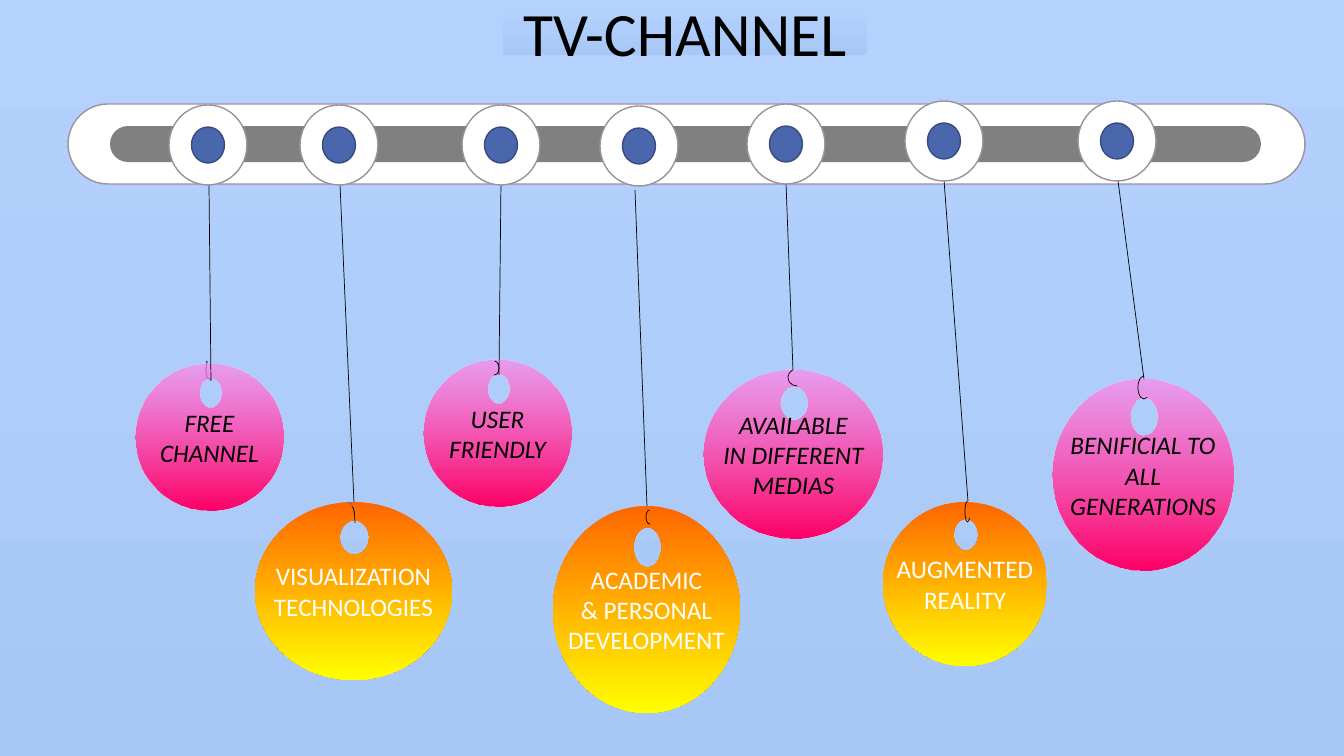
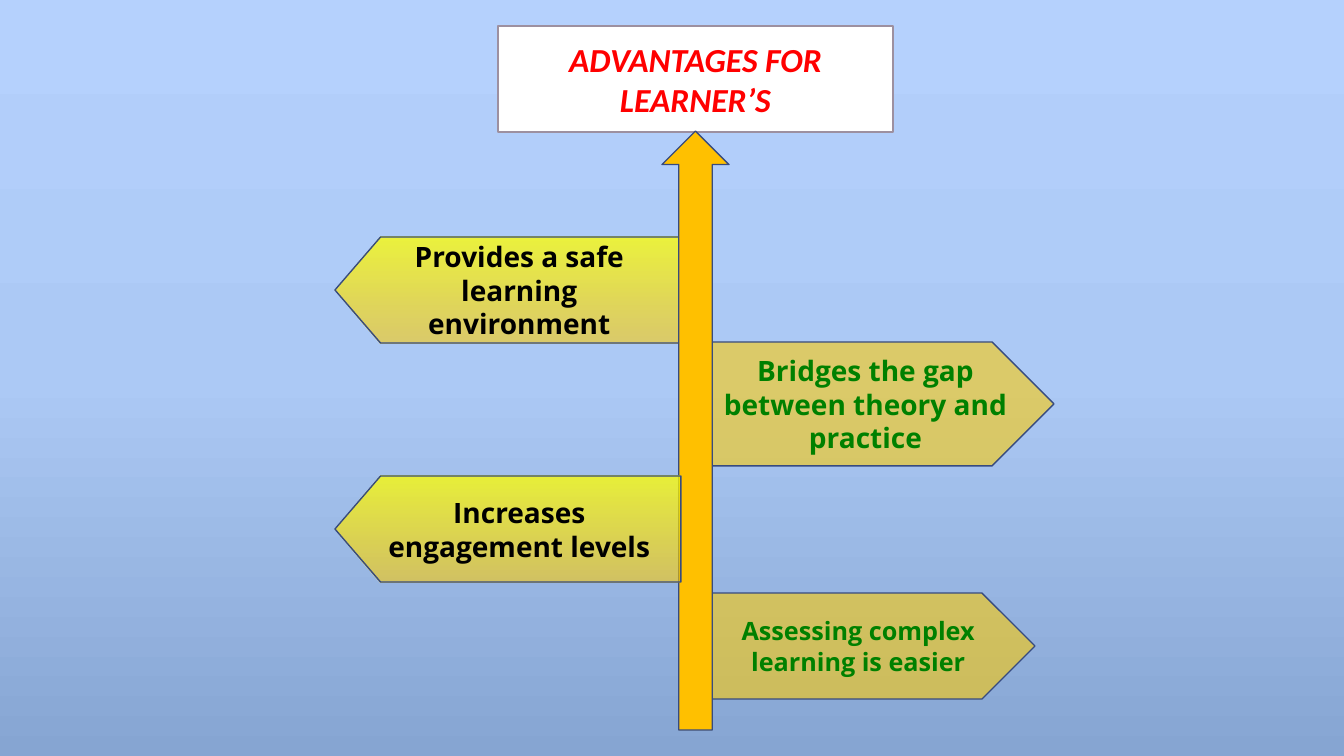
from lxml import etree
from pptx import Presentation
from pptx import util as u
from pptx.dml.color import RGBColor
from pptx.enum import shapes, text
from pptx.oxml.ns import qn

PX = 12192000 // 1344  # EMU in one px
KIND = shapes.MSO_SHAPE


class Theme:
    black, white, grey = "000000", "FFFFFF", "808080"
    rim, blue, navy = "9D90A0", "4A66AC", "374B7F"
    red, green, amber = "FF0000", "008000", "FFC000"
    # Gradients run from top to bottom as (colour, opacity in percent)
    sky = [("B5D1FD", 100), ("A7C8F6", 100)]
    dusk = [("B5D1FD", 100), ("ACC9F5", 100), ("86A5D2", 100)]
    pink = [("FC8CEC", 75), ("FF0066", 100)]
    orange = [("FF6600", 100), ("FFFF00", 100)]
    lemon = [("FFFF00", 76), ("FFCC00", 56)]
    sand = [("FFCC00", 56), ("FFCC00", 56)]
    title_font, sign_font = "Calibri", "Open Sans"
    headline, subtitle, sign, label = 44, 24, 20, 18


def style(owner, fill, line=None, weight=1):
    """Fill a shape or a slide background with a colour, a gradient or nothing."""
    on_slide = hasattr(owner, "background")
    target = owner.background.fill if on_slide else owner.fill
    if fill is None:
        target.background()
    else:
        target.solid()
        target.fore_color.rgb = RGBColor.from_string(fill if isinstance(fill, str) else fill[0][0])
    if isinstance(fill, list):
        solid = next(owner.element.iter(qn("a:solidFill")))
        gradient = etree.Element(qn("a:gradFill"), rotWithShape="1")
        stops = etree.SubElement(gradient, qn("a:gsLst"))
        for index, (color, opacity) in enumerate(fill):
            position = index * 100000 // (len(fill) - 1)
            stop = etree.SubElement(stops, qn("a:gs"), pos=str(position))
            rgb = etree.SubElement(stop, qn("a:srgbClr"), val=color)
            if opacity < 100:
                etree.SubElement(rgb, qn("a:alpha"), val=str(opacity * 1000))
        etree.SubElement(gradient, qn("a:lin"), ang="5400000", scaled="0")
        solid.getparent().replace(solid, gradient)
    if on_slide:
        return
    owner.shadow.inherit = False
    if line:
        owner.line.color.rgb = RGBColor.from_string(line)
        owner.line.width = u.Pt(weight)
    else:
        owner.line.fill.background()


def write(shape, lines, size, color, font=Theme.title_font, bold=False, italic=False):
    frame = shape.text_frame
    frame.word_wrap = True
    frame.auto_size = text.MSO_AUTO_SIZE.NONE
    frame.vertical_anchor = text.MSO_ANCHOR.MIDDLE
    for index, line in enumerate(lines):
        paragraph = frame.add_paragraph() if index else frame.paragraphs[0]
        paragraph.alignment = text.PP_ALIGN.CENTER
        run = paragraph.add_run()
        run.text = line
        run.font.name, run.font.size = font, u.Pt(size)
        run.font.bold, run.font.italic = bold, italic
        run.font.color.rgb = RGBColor.from_string(color)


presentation = Presentation()
presentation.slide_width, presentation.slide_height = 1344 * PX, 756 * PX

# Backgrounds and titles of both slides
title_specs = [
    (Theme.sky, "roundRect", (503, 8, 364, 47), Theme.sky, None,
     "TV-CHANNEL", Theme.headline, Theme.black, False),
    (Theme.dusk, "ellipse", (498, 26, 395, 106), Theme.white, Theme.rim,
     "ADVANTAGES FOR LEARNER’S", Theme.subtitle, Theme.red, True),
]
for backdrop, outline, (x, y, w, h), fill, line, words, size, color, strong in title_specs:
    slide = presentation.slides.add_slide(presentation.slide_layouts[5])
    style(slide, backdrop)
    title = slide.shapes.title
    title.left, title.top, title.width, title.height = x * PX, y * PX, w * PX, h * PX
    geometry = etree.SubElement(title.element.spPr, qn("a:prstGeom"), prst=outline)
    guides = etree.SubElement(geometry, qn("a:avLst"))
    if outline == "roundRect":
        etree.SubElement(guides, qn("a:gd"), name="adj", fmla="val 50000")
    style(title, fill, line)
    write(title, [words], size, color, bold=strong, italic=strong)
channel_slide, advantage_slide = presentation.slides

# Slide 1: rail
for (x, y, w, h), fill, line in [
    ((68, 104, 1237, 80), Theme.white, Theme.rim),
    ((110, 126, 1151, 36), Theme.grey, None),
]:
    rail = channel_slide.shapes.add_shape(KIND.ROUNDED_RECTANGLE, x * PX, y * PX, w * PX, h * PX)
    rail.adjustments[0] = 0.5
    style(rail, fill, line)

# Bent hook behind the first tag
builder = channel_slide.shapes.build_freeform(207 * PX, 361 * PX)
builder.add_line_segments(
    [(x * PX, y * PX) for x, y in [(206, 370), (207, 378), (211, 379)]], close=False)
style(builder.convert_to_shape(), None, Theme.navy)

# Hanging tags: knob (centre x, top), wire (from, to), tag box, fill, lines
tags = [
    ((208, 105), (209, 184, 211, 381), (136, 364, 147, 147), Theme.pink, ["FREE CHANNEL"]),
    ((339, 105), (340, 184, 354, 502), (255, 502, 197, 178), Theme.orange,
     ["VISUALIZATION TECHNOLOGIES"]),
    ((501, 105), (501, 184, 499, 375), (424, 360, 147, 147), Theme.pink, ["USER", "FRIENDLY"]),
    ((639, 106), (635, 190, 647, 506), (553, 506, 187, 207), Theme.orange,
     ["ACADEMIC", "& PERSONAL", "DEVELOPMENT"]),
    ((786, 104), (786, 183, 793, 370), (704, 370, 179, 169), Theme.pink,
     ["AVAILABLE", "IN DIFFERENT", "MEDIAS"]),
    ((944, 101), (944, 180, 968, 501), (883, 502, 164, 164), Theme.orange,
     ["AUGMENTED", "REALITY"]),
    ((1117, 101), (1117, 173, 1144, 379), (1053, 379, 180, 192), Theme.pink,
     ["BENIFICIAL TO ALL GENERATIONS"]),
]
for (knob_x, knob_y), wire_ends, (x, y, w, h), fill, lines in tags:
    # Disc and hole: centre, radii and winding, each drawn as four quarter arcs
    contours = [
        (x + w / 2, y + h / 2, w / 2, h / 2, 1),
        (x + w / 2 + 1, y + h * 0.2, w * 0.075, h * 0.097, -1),
    ]
    builder = None
    for cx, cy, rx, ry, turn in contours:
        left, top, right, bottom = [
            (round(px * PX), round(py * PX))
            for px, py in [(cx - rx, cy), (cx, cy - ry), (cx + rx, cy), (cx, cy + ry)]]
        if builder:
            builder.move_to(*left)
        else:
            builder = channel_slide.shapes.build_freeform(*left)
        builder.add_line_segments([top, right, bottom, left], close=True)
    tag = builder.convert_to_shape()
    for index, segment in enumerate(list(tag.element.iter(qn("a:lnTo")))):
        cx, cy, rx, ry, turn = contours[index // 4]
        start = (180 + turn * 90 * (index % 4)) % 360
        quarter = etree.Element(
            qn("a:arcTo"), wR=str(round(rx * PX)), hR=str(round(ry * PX)),
            stAng=str(start * 60000), swAng=str(turn * 90 * 60000))
        segment.getparent().replace(segment, quarter)
    style(tag, fill)
    is_pink = fill is Theme.pink
    write(tag, lines, Theme.label, Theme.black if is_pink else Theme.white, italic=is_pink)

    wire = channel_slide.shapes.add_connector(
        shapes.MSO_CONNECTOR.STRAIGHT, *[value * PX for value in wire_ends])
    wire.line.color.rgb = RGBColor.from_string(Theme.black)
    wire.line.width = u.Pt(0.5)
    etree.SubElement(wire.element.spPr, qn("a:effectLst"))

    for w, h, inset, fill, line in [
        (78, 80, 0, Theme.white, Theme.rim),
        (33, 36, 22, Theme.blue, Theme.navy),
    ]:
        knob = channel_slide.shapes.add_shape(
            KIND.OVAL, (2 * knob_x - w) * PX // 2, (knob_y + inset) * PX, w * PX, h * PX)
        style(knob, fill, line)

# Small arcs that hook the wires: box, flip, start and end angle, colour
for (x, y, w, h), flip, start, end, color in [
    ((493, 359, 7, 5), "flipV", 162, 0, Theme.blue),
    ((490, 361, 9, 14), None, 162, 55.4, Theme.black),
    ((646, 510, 7, 14), "flipH", 162, 58.48, Theme.black),
    ((788, 369, 18, 17), "flipH", 178.68, 56.13, Theme.black),
    ((965, 501, 5, 21), "flipH", 162, 64.75, Theme.black),
    ((1138, 376, 12, 23), "flipH", 162, 64.75, Theme.black),
    ((343, 502, 11, 25), None, 162, 0, Theme.blue),
    ((350, 507, 5, 32), None, 162, 0, Theme.black),
]:
    arc = channel_slide.shapes.add_shape(KIND.ARC, x * PX, y * PX, w * PX, h * PX)
    arc.adjustments[0], arc.adjustments[1] = start, end
    if flip:
        arc.element.spPr.find(qn("a:xfrm")).set(flip, "1")
    style(arc, None, color, 0.5)

# Slide 2: signs on a post, from back to front
for kind, (x, y, w, h), fill, words, size in [
    (KIND.PENTAGON, (708, 342, 346, 124), Theme.sand,
     "Bridges the gap between theory and practice", Theme.sign),
    (KIND.PENTAGON, (708, 593, 327, 106), Theme.sand,
     "Assessing complex learning is easier", Theme.label),
    (KIND.PENTAGON, (335, 237, 346, 106), Theme.lemon,
     "Provides a safe learning environment", Theme.sign),
    (KIND.UP_ARROW, (662, 131, 67, 599), Theme.amber, None, None),
    (KIND.PENTAGON, (335, 476, 346, 106), Theme.lemon,
     "Increases engagement levels", Theme.sign),
]:
    shape = advantage_slide.shapes.add_shape(kind, x * PX, y * PX, w * PX, h * PX)
    style(shape, fill, Theme.navy)
    points_left = fill is Theme.lemon
    if points_left:
        shape.adjustments[0] = 0.43
        shape.element.spPr.find(qn("a:xfrm")).set("flipH", "1")
    if words:
        write(shape, [words], size, Theme.black if points_left else Theme.green,
              Theme.sign_font, bold=True)

presentation.save("out.pptx")
